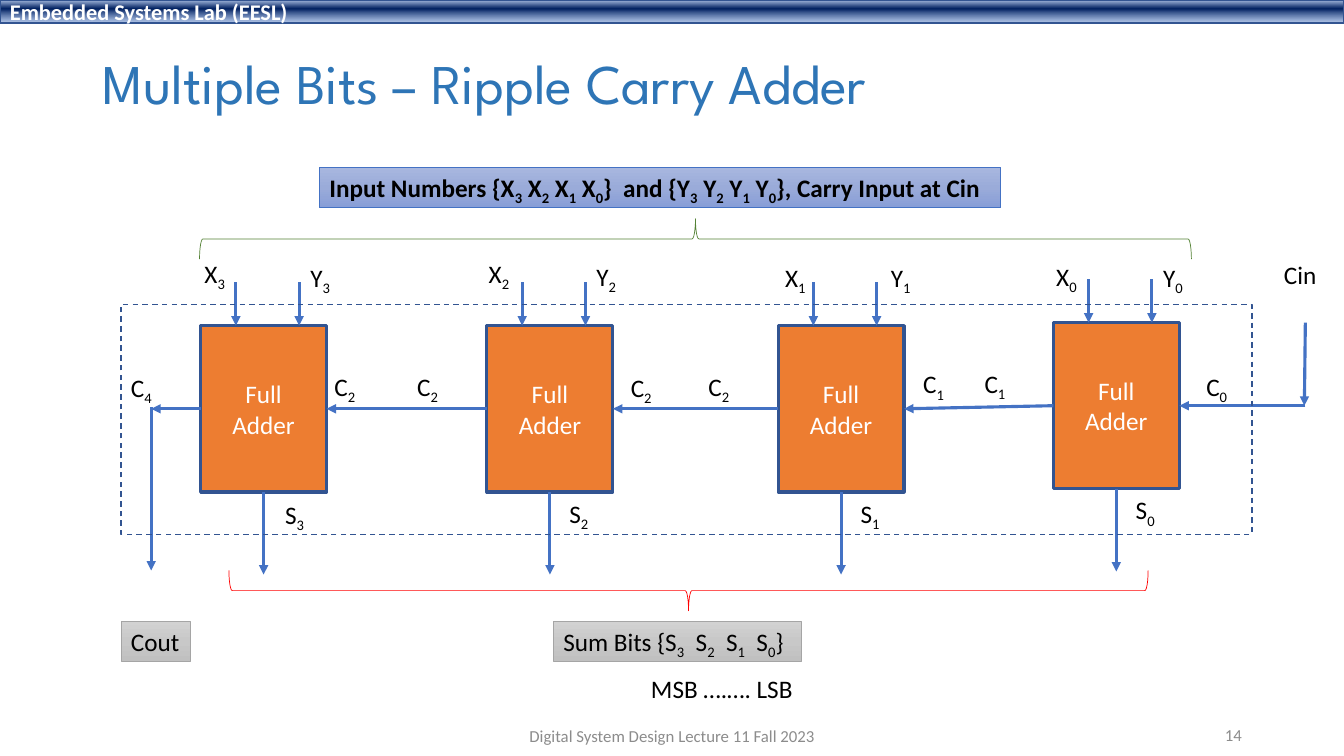
from lxml import etree
from pptx import Presentation
from pptx.dml.color import RGBColor
from pptx.enum import dml, shapes, text
from pptx.oxml import ns, parse_xml
from pptx.util import Pt

WHITE, BLACK = RGBColor(255, 255, 255), RGBColor(0, 0, 0)
GRAY, TITLE_BLUE = RGBColor(0x8C, 0x8C, 0x8C), RGBColor(0x2E, 0x75, 0xB6)
ORANGE, NAVY = RGBColor(0xED, 0x7D, 0x31), RGBColor(0x32, 0x54, 0x91)
BLUE, SILVER = RGBColor(0x44, 0x72, 0xC4), RGBColor(0xA5, 0xA5, 0xA5)
RED, GREEN = RGBColor(255, 0, 0), RGBColor(0x54, 0x82, 0x35)

BAR_STOPS = [(2, RGBColor(0xAB, 0xC0, 0xE4), 100), (38, RGBColor(0, 0x20, 0x60), 100),
             (93, RGBColor(0x7E, 0x9E, 0xD6), 64)]
SILVER_STOPS = [(0, RGBColor(0xD2, 0xD2, 0xD2), 100), (50, RGBColor(0xC8, 0xC8, 0xC8), 100),
                (100, RGBColor(0xC0, 0xC0, 0xC0), 100)]
BLUE_STOPS = [(0, RGBColor(0xA8, 0xB7, 0xDF), 100), (50, RGBColor(0x9A, 0xAB, 0xD9), 100),
              (100, RGBColor(0x88, 0x9E, 0xD7), 100)]

TITLE = "Multiple Bits – Ripple Carry Adder"
HEADER = "Embedded Systems Lab (EESL)"
ADDERS = [(752.4, 230.4), (555.8, 232.6), (347.8, 232.6), (143.3, 232.6)]
ADDER_W, ADDER_H = 90, 118.8
INPUT_OFFSETS, INPUT_LEN, SUM_LEN = (25.2, 70.4), 31, 59
LABEL_W, LABEL_H = 30, 28.8
BIT_LABELS = [
    ("X_0", 747.4, 182.9), ("Y_0", 823.7, 183.6), ("S_0", 804.2, 349.9),
    ("X_1", 553.7, 183.6), ("Y_1", 629.3, 183.6), ("S_1", 607.7, 352.1),
    ("X_2", 342, 180.7), ("Y_2", 419, 182.9), ("S_2", 399.6, 352.1),
    ("X_3", 139, 180.7), ("Y_3", 214.6, 183.6), ("S_3", 196.6, 352.8),
    ("C_0", 854.6, 261.4), ("C_1", 696.2, 259.2), ("C_1", 652.3, 259.9),
    ("C_2", 499, 261.4), ("C_2", 443.5, 262.1), ("C_2", 290.9, 261.4),
    ("C_2", 231.8, 261.4), ("C_4", 86.4, 262.1)]
WIDE_LABELS = [("Cin", 910.1, 181.4, 38.2), ("MSB ….…. LSB", 457.9, 477.4, 121)]
CAPTIONS = [
    ("Cout", 86.4, 443.5, 49.7, SILVER_STOPS, SILVER, False),
    ("Sum Bits {S_3  S_2  S_1  S_0}", 395.3, 443.5, 177.1, SILVER_STOPS, SILVER, False),
    ("Input Numbers {X_3 X_2 X_1 X_0}  and {Y_3 Y_2 Y_1 Y_0}, Carry Input at Cin",
     228.2, 119.5, 486.7, BLUE_STOPS, BLUE, True)]
BRACES = [(477.4, 93.6, 656.6, 90, RED), (482.4, -183.6, 708.5, 270, GREEN)]
FOOTERS = [("14", 678.2, 510.5, 216, text.PP_ALIGN.RIGHT),
           ("Digital System Design Lecture 11 Fall 2023", 318.2, 511.2, 324, text.PP_ALIGN.CENTER)]

prs = Presentation()
prs.slide_width, prs.slide_height = Pt(960), Pt(540)
s = prs.slides.add_slide(prs.slide_layouts[5])


def write(sp, lines, align=text.PP_ALIGN.LEFT, anchor=text.MSO_ANCHOR.TOP, wrap=True, **font):
    tf = sp.text_frame
    tf.word_wrap, tf.vertical_anchor = wrap, anchor
    tf.auto_size = text.MSO_AUTO_SIZE.NONE
    look = {"name": "Calibri", "size": Pt(18), "bold": False, **font}
    color = look.pop("color", BLACK)
    for i, line in enumerate(lines.split("\n")):
        p = tf.add_paragraph() if i else tf.paragraphs[0]
        p.alignment = align
        head, *tails = line.split("_")
        pieces = [(head, False)]
        for tail in tails:
            pieces += [(tail[0], True), (tail[1:], False)]
        for piece, lowered in pieces:
            if not piece:
                continue
            r = p.add_run()
            r.text = piece
            for name, value in look.items():
                setattr(r.font, name, value)
            r.font.color.rgb = color
            if lowered:
                r._r.get_or_add_rPr().set("baseline", "-25000")


def shape(kind, x, y, w, h, line, width, fill=None):
    sp = s.shapes.add_shape(kind, Pt(x), Pt(y), Pt(w), Pt(h))
    sp.shadow.inherit = False
    sp.line.color.rgb, sp.line.width = line, Pt(width)
    if fill is None:
        sp.fill.background()
    elif isinstance(fill, RGBColor):
        sp.fill.solid()
        sp.fill.fore_color.rgb = fill
    else:
        stops = "".join(f'<a:gs pos="{pos * 1000}"><a:srgbClr val="{color}">'
                        f'<a:alpha val="{alpha * 1000}"/></a:srgbClr></a:gs>'
                        for pos, color, alpha in fill)
        grad = parse_xml(f'<a:gradFill {ns.nsdecls("a")} rotWithShape="1"><a:gsLst>{stops}'
                         '</a:gsLst><a:lin ang="5400000" scaled="0"/></a:gradFill>')
        sp._element.spPr.find(ns.qn("a:prstGeom")).addnext(grad)
    return sp


def label(words, x, y, w, **look):
    sp = s.shapes.add_textbox(Pt(x), Pt(y), Pt(w), Pt(LABEL_H))
    write(sp, words, **look)


def wire(x1, y1, x2, y2, begin=None, end=None, arrow=True):
    c = s.shapes.add_connector(shapes.MSO_CONNECTOR.STRAIGHT, Pt(x1), Pt(y1), Pt(x2), Pt(y2))
    if begin:
        c.begin_connect(*begin)
    if end:
        c.end_connect(*end)
    c.line.color.rgb, c.line.width = BLUE, Pt(2.25)
    if arrow:
        etree.SubElement(c.line._get_or_add_ln(), ns.qn("a:tailEnd"), type="triangle")
    etree.SubElement(c._element.spPr, ns.qn("a:effectLst"))


RECT = shapes.MSO_SHAPE.RECTANGLE
MIDDLE = text.MSO_ANCHOR.MIDDLE

bar = shape(RECT, 0, 0, 960, 16.5, NAVY, 1, BAR_STOPS)
write(bar, HEADER, anchor=MIDDLE, size=Pt(16), bold=True, color=WHITE)

title = s.shapes.title
title.left, title.top, title.width, title.height = Pt(66), Pt(28.8), Pt(828), Pt(65.5)
write(title, TITLE, anchor=MIDDLE, name="League Spartan", size=Pt(40), color=TITLE_BLUE)
title.text_frame.paragraphs[0].line_spacing = 0.9

blocks = []
for x, y in ADDERS:
    block = shape(RECT, x, y, ADDER_W, ADDER_H, NAVY, 2.25, ORANGE)
    write(block, "Full\nAdder", align=text.PP_ALIGN.CENTER, anchor=MIDDLE, color=WHITE)
    blocks.append(block)
    for dx in INPUT_OFFSETS:
        wire(x + dx, y - INPUT_LEN, x + dx, y)
    mid, bottom = x + ADDER_W / 2, y + ADDER_H
    wire(mid, bottom, mid, bottom + SUM_LEN, begin=(block, 2))
for right, left in zip(blocks, blocks[1:]):
    wire(0, 0, 0, 0, begin=(right, 1), end=(left, 3))

carry_in_y, carry_out_y = (ADDERS[i][1] + ADDER_H / 2 for i in (0, -1))
wire(879.8, carry_in_y, 842.4, carry_in_y, end=(blocks[0], 3))
wire(932.4, carry_in_y, 876.2, carry_in_y, arrow=False)
wire(932.4, 230.4, 931.7, carry_in_y)
wire(143.3, carry_out_y, 108, carry_out_y, begin=(blocks[-1], 1))
wire(108, carry_out_y - 1, 108, 407.5)

frame = shape(RECT, 86.4, 217.4, 807.8, 164.2, NAVY, 1)
frame.line.dash_style = dml.MSO_LINE.DASH

for words, x, y in BIT_LABELS:
    label(words, x, y, LABEL_W, wrap=False)
for words, x, y, w in WIDE_LABELS:
    label(words, x, y, w, wrap=False)
for words, x, y, w, stops, line, bold in CAPTIONS:
    write(shape(RECT, x, y, w, LABEL_H, line, 0.5, stops), words, wrap=False, bold=bold)
for x, y, length, turn, color in BRACES:
    shape(shapes.MSO_SHAPE.RIGHT_BRACE, x, y, 28.8, length, color, 0.5).rotation = turn
for words, x, y, w, align in FOOTERS:
    label(words, x, y, w, align=align, anchor=MIDDLE, size=Pt(12), color=GRAY)

prs.save("out.pptx")
